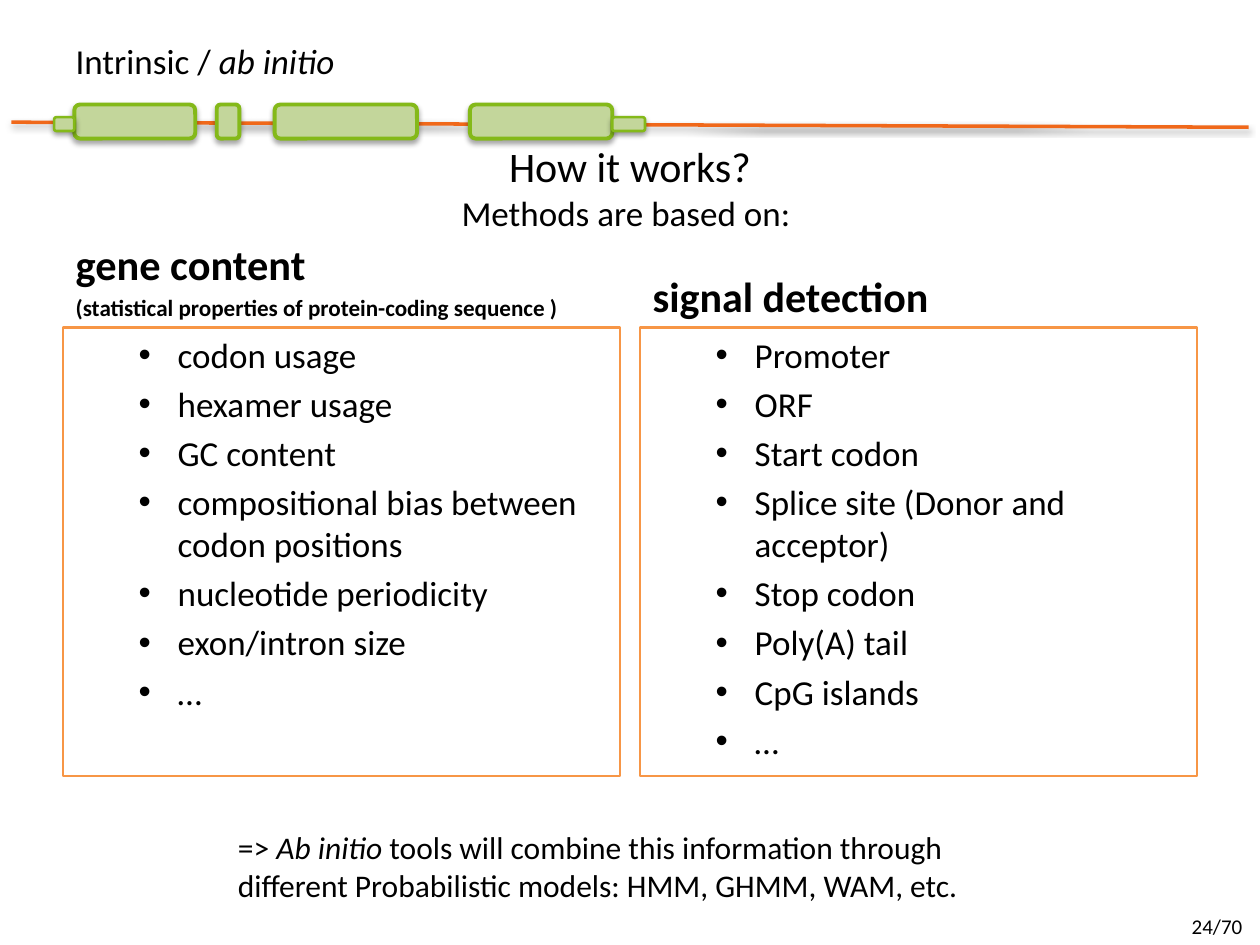
"""Build the slide on intrinsic (ab initio) gene prediction methods."""
import dataclasses
import typing

import lxml.etree
import pptx
import pptx.dml.color
import pptx.enum.shapes
import pptx.enum.text
import pptx.oxml
import pptx.oxml.ns
import pptx.util

Inches = pptx.util.Inches
Pt = pptx.util.Pt
RGBColor = pptx.dml.color.RGBColor
Align = pptx.enum.text.PP_ALIGN
Anchor = pptx.enum.text.MSO_ANCHOR

BLACK = RGBColor(0x00, 0x00, 0x00)
WHITE = RGBColor(0xFF, 0xFF, 0xFF)
INTRON = RGBColor(0xF0, 0x68, 0x1A)
EXON_FILL = RGBColor(0xC3, 0xD6, 0x9B)
EXON_LINE = RGBColor(0x84, 0xB9, 0x19)
FRAME = RGBColor(0xF7, 0x96, 0x46)

COLUMN_WIDTH, HEADING_TOP, HEADING_HEIGHT, LIST_HEIGHT = 4.42, 1.9, 0.7, 3.56


@dataclasses.dataclass(frozen=True)
class Span:
    text: str
    size: float
    bold: bool = False
    italic: bool = False


@dataclasses.dataclass(frozen=True)
class Exon:
    left: float
    width: float
    coding: bool = True


@dataclasses.dataclass(frozen=True)
class Column:
    left: float
    heading_index: int
    heading: list[Span]
    items: list[str]


@dataclasses.dataclass(frozen=True)
class Note:
    left: float
    top: float
    width: float
    height: float
    spans: list[Span]
    alignment: typing.Any = Align.LEFT
    filled: bool = False


EXONS = [
    Exon(0.59, 0.96), Exon(1.72, 0.18), Exon(2.18, 1.13), Exon(3.73, 1.13),
    Exon(4.86, 0.26, coding=False), Exon(0.43, 0.16, coding=False),
]
COLUMNS = [
    Column(0.5, 1,
           [Span("gene content", 24.2, bold=True),
            Span("(statistical properties of protein-coding sequence )", 13.2, bold=True)],
           ["codon usage", "hexamer usage", "GC content",
            "compositional bias between codon positions",
            "nucleotide periodicity", "exon/intron size", "…"]),
    Column(5.08, 3,
           [Span("signal detection", 24, bold=True)],
           ["Promoter", "ORF", "Start codon", "Splice site (Donor and acceptor)",
            "Stop codon", "Poly(A) tail", "CpG islands", "…"]),
]
NOTES = [
    Note(0, 1.07, 10, 0.5, [Span("How it works?", 24)], Align.CENTER),
    Note(0, 1.47, 10, 0.44, [Span("Methods are based on: ", 20)], Align.CENTER),
    Note(1.79, 6.52, 6.26, 0.71,
         [Span("=> ", 18), Span("Ab initio ", 18, italic=True),
          Span("tools will combine this information through different "
               "Probabilistic models: HMM, GHMM, WAM, etc.", 18)], filled=True),
    Note(9.36, 7.2, 0.64, 0.3, [Span("24/70", 12)]),
]


def set_values(target: typing.Any, values: dict[str, typing.Any]) -> None:
    for name, value in values.items():
        setattr(target, name, value)


def place(shape: typing.Any, left: float, top: float, width: float, height: float) -> None:
    set_values(shape, {"left": Inches(left), "top": Inches(top),
                       "width": Inches(width), "height": Inches(height)})


def write(para: typing.Any, spans: list[Span], alignment: typing.Any = Align.LEFT) -> None:
    para.alignment = alignment
    for span in spans:
        run = para.add_run()
        run.text = span.text
        set_values(run.font, {"name": "Calibri", "size": Pt(span.size),
                              "bold": span.bold, "italic": span.italic})
        run.font.color.rgb = BLACK


def fill_frame(frame: typing.Any, lines: list[list[Span]], anchor: typing.Any,
               alignment: typing.Any = Align.LEFT) -> list[typing.Any]:
    set_values(frame, {"word_wrap": True, "vertical_anchor": anchor,
                       "auto_size": pptx.enum.text.MSO_AUTO_SIZE.NONE})
    paras = [frame.paragraphs[0]] + [frame.add_paragraph() for _ in lines[1:]]
    paras[0].space_before = Pt(0)
    for para, spans in zip(paras, lines):
        write(para, spans, alignment)
    return paras


def add_shadow(shape: typing.Any, opacity: int, distance: float) -> None:
    shape._element.spPr.append(pptx.oxml.parse_xml(
        f'<a:effectLst {pptx.oxml.ns.nsdecls("a")}>'
        f'<a:outerShdw blurRad="{Pt(3.1)}" dist="{Pt(distance)}" dir="5400000" rotWithShape="0">'
        f'<a:srgbClr val="000000"><a:alpha val="{opacity * 1000}"/></a:srgbClr>'
        '</a:outerShdw></a:effectLst>'))


def add_bullet(para: typing.Any) -> None:
    para.level = 1
    properties = para._p.get_or_add_pPr()
    properties.set("marL", str(Inches(0.81)))
    properties.set("indent", str(Inches(-0.31)))
    for tag, name, value in (("a:buFont", "typeface", "Arial"), ("a:buChar", "char", "•")):
        lxml.etree.SubElement(properties, pptx.oxml.ns.qn(tag)).set(name, value)


def draw_intron(slide: typing.Any) -> None:
    line = slide.shapes.add_connector(
        pptx.enum.shapes.MSO_CONNECTOR.STRAIGHT,
        Inches(0.09), Inches(0.97), Inches(9.91), Inches(1.01))
    line.line.color.rgb = INTRON
    line.line.width = Pt(2)
    add_shadow(line, 38, 1.6)


def draw_exon(slide: typing.Any, exon: Exon) -> None:
    top, height, weight = (0.83, 0.27, 2.25) if exon.coding else (0.93, 0.11, 1.5)
    box = slide.shapes.add_shape(
        pptx.enum.shapes.MSO_SHAPE.ROUNDED_RECTANGLE,
        Inches(exon.left), Inches(top), Inches(exon.width), Inches(height))
    box.fill.solid()
    box.fill.fore_color.rgb = EXON_FILL
    box.line.color.rgb = EXON_LINE
    box.line.width = Pt(weight)
    add_shadow(box, 35, 1.8)


def draw_column(slide: typing.Any, column: Column) -> None:
    holders = {holder.placeholder_format.idx: holder for holder in slide.placeholders}
    heading, listing = holders[column.heading_index], holders[column.heading_index + 1]
    place(heading, column.left, HEADING_TOP, COLUMN_WIDTH, HEADING_HEIGHT)
    fill_frame(heading.text_frame, [[span] for span in column.heading], Anchor.BOTTOM)
    place(listing, column.left, HEADING_TOP + HEADING_HEIGHT, COLUMN_WIDTH, LIST_HEIGHT)
    listing.line.color.rgb = FRAME
    listing.line.width = Pt(1.5)
    lines = [[Span(item, 20)] for item in column.items]
    for para in fill_frame(listing.text_frame, lines, Anchor.TOP):
        add_bullet(para)


def draw_note(slide: typing.Any, note: Note) -> None:
    box = slide.shapes.add_textbox(
        Inches(note.left), Inches(note.top), Inches(note.width), Inches(note.height))
    if note.filled:
        box.fill.solid()
        box.fill.fore_color.rgb = WHITE
    fill_frame(box.text_frame, [note.spans], Anchor.TOP, note.alignment)


def main() -> None:
    deck = pptx.Presentation()
    set_values(deck, {"slide_width": Inches(10), "slide_height": Inches(7.5)})
    slide = deck.slides.add_slide(deck.slide_layouts.get_by_name("Comparison"))
    draw_intron(slide)
    for exon in EXONS:
        draw_exon(slide, exon)
    title = slide.shapes.title
    place(title, 0.5, 0.24, 3.75, 0.48)
    fill_frame(title.text_frame,
               [[Span("Intrinsic / ", 20), Span("ab initio", 20, italic=True)]], Anchor.MIDDLE)
    for column in COLUMNS:
        draw_column(slide, column)
    for note in NOTES:
        draw_note(slide, note)
    deck.save("out.pptx")


if __name__ == "__main__":
    main()
